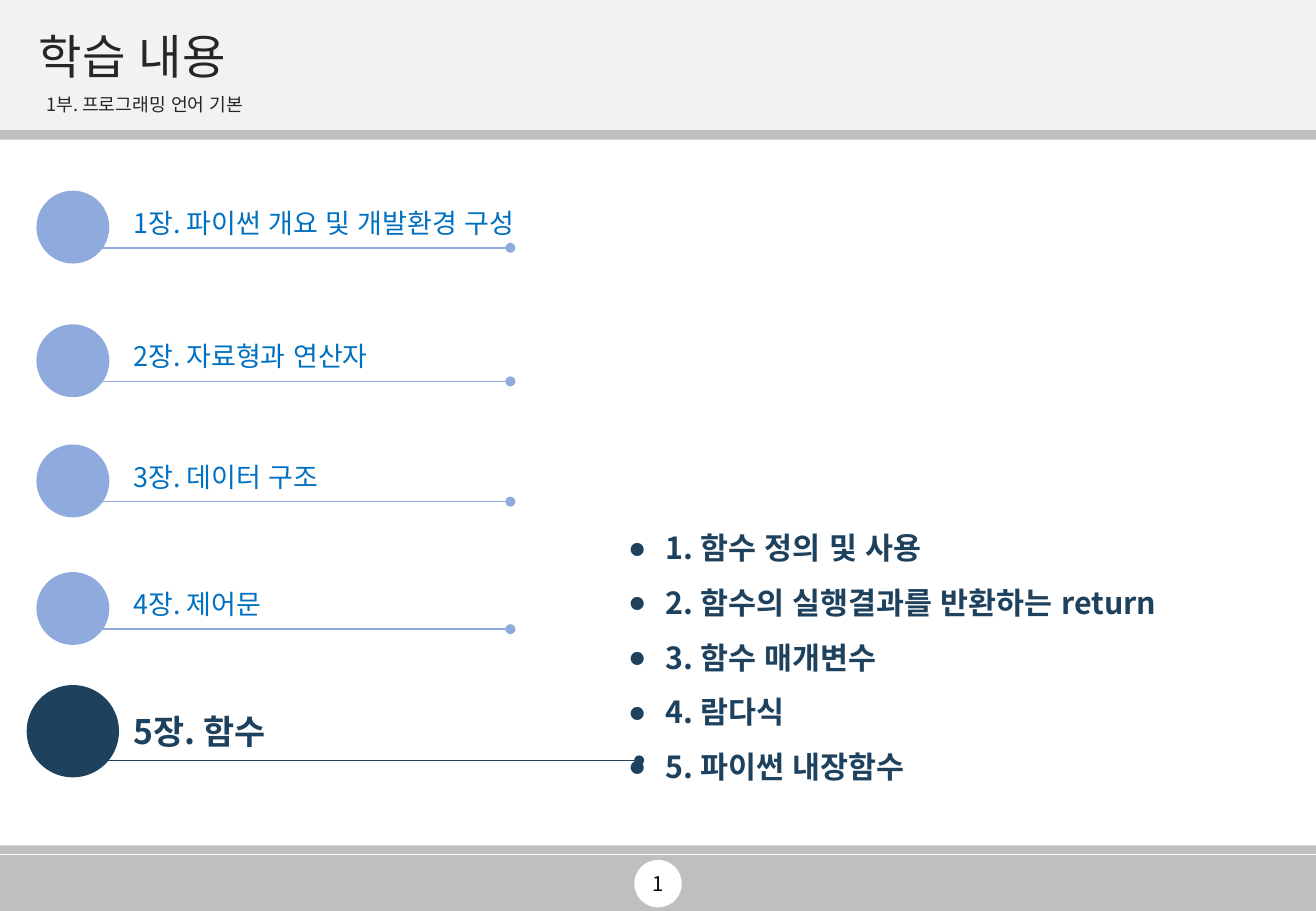
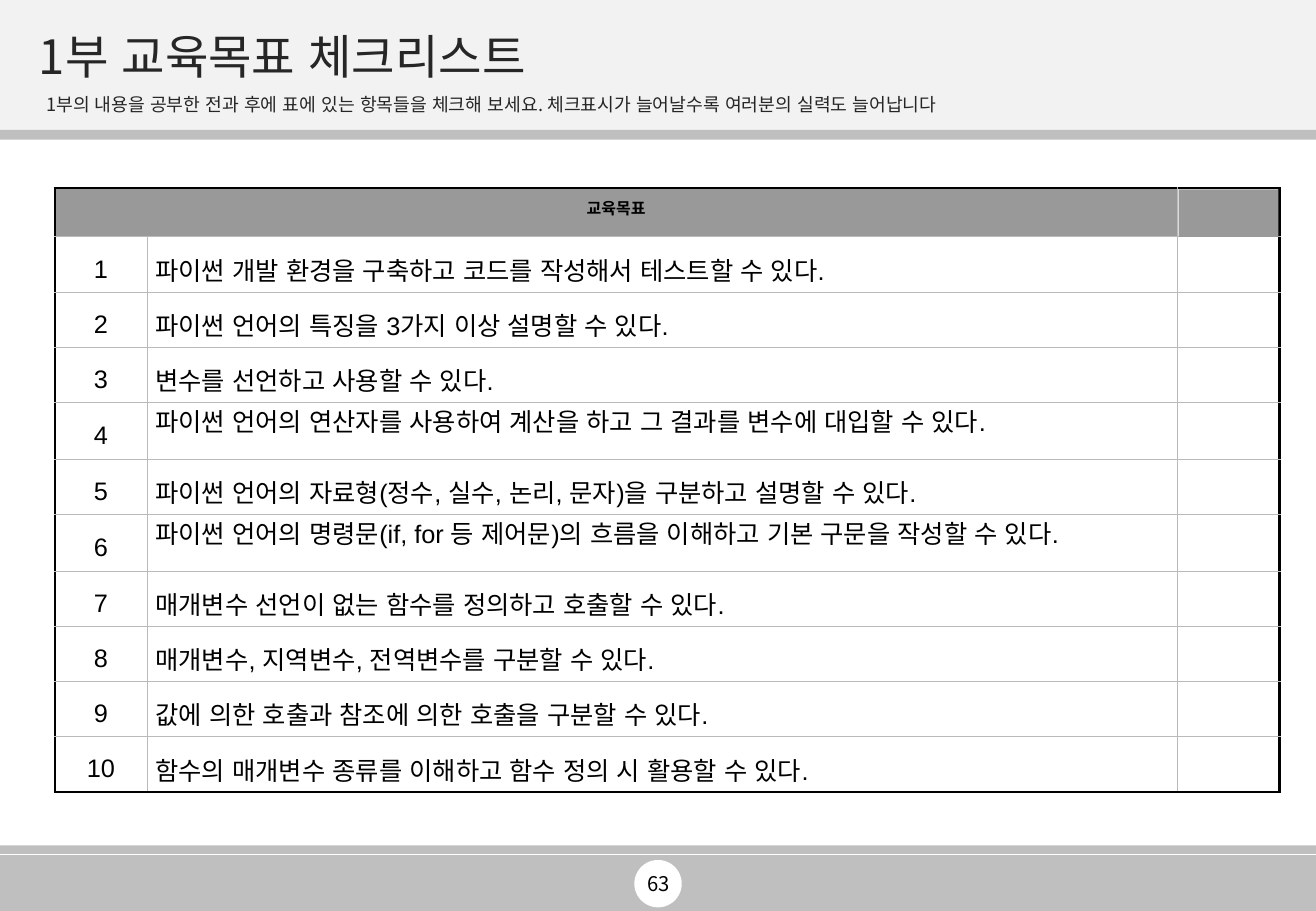
from lxml.etree import SubElement
from pptx import Presentation
from pptx.dml.color import RGBColor
from pptx.enum.shapes import MSO_CONNECTOR, MSO_SHAPE
from pptx.enum.text import MSO_ANCHOR as ANCHOR, MSO_AUTO_SIZE, PP_ALIGN as ALIGN
from pptx.oxml.ns import qn
from pptx.util import Inches, Pt

KOREAN = "Noto Sans CJK KR"
GRAY, PALE, WHITE, BLACK = "BFBFBF", "F2F2F2", "FFFFFF", "000000"
INK, NAVY, SKY, BLUE = "262626", "1E415D", "8FAADC", "0070C0"
HEADER, GRID = "999999", "BABABA"
rgb = RGBColor.from_string


def add_block(slide, kind, box, color):
    """Add a flat preset shape without outline or shadow."""
    sp = slide.shapes.add_shape(kind, *map(Inches, box))
    sp.shadow.inherit = False
    sp.fill.solid()
    sp.fill.fore_color.rgb = rgb(color)
    sp.line.fill.background()
    return sp


def style(tf, size, color, bold=False, latin=KOREAN):
    """Wrap the frame and format all its runs, Korean glyphs included."""
    tf.word_wrap = True
    for p in tf.paragraphs:
        for r in p.runs:
            r.font.size, r.font.bold, r.font.name = Pt(size), bold, latin
            r.font.color.rgb = rgb(color)
            rPr = r._r.get_or_add_rPr()
            rPr.set("lang", "ko-KR")
            rPr.set("kern", "0")
            SubElement(rPr, qn("a:ea")).set("typeface", KOREAN)


prs = Presentation()
prs.slide_width, prs.slide_height = Inches(10.83), Inches(7.5)
layout = prs.slide_layouts[1]

# Shared layout: placeholder positions, bands and page number disc
PLACES = [(0.22, 0.21, 10.39, 0.55), (0.3, 0.76, 10.32, 0.24)]
for ph, place in zip(layout.placeholders, PLACES):
    ph.left, ph.top, ph.width, ph.height = map(Inches, place)

PAGES = [
    ("학습 내용", "1부. 프로그래밍 언어 기본", "1"),
    ("1부 교육목표 체크리스트",
     "1부의 내용을 공부한 전과 후에 표에 있는 항목들을 체크해 보세요. "
     "체크표시가 늘어날수록 여러분의 실력도 늘어납니다", "63"),
]
slides = [prs.slides.add_slide(layout) for page in PAGES]

BANDS = [
    (MSO_SHAPE.RECTANGLE, (0, 7.04, 10.83, 0.46), GRAY),
    (MSO_SHAPE.RECTANGLE, (0, 6.96, 10.83, 0.07), GRAY),
    (MSO_SHAPE.OVAL, (5.22, 7.08, 0.39, 0.39), WHITE),
    (MSO_SHAPE.RECTANGLE, (0, 0, 10.83, 1.07), PALE),
    (MSO_SHAPE.RECTANGLE, (0, 1.07, 10.83, 0.08), GRAY),
]
for i, band in enumerate(BANDS):
    el = add_block(slides[0], *band)._element
    el.nvSpPr.cNvPr.set("id", str(20 + i))
    layout.shapes._spTree.insert(2 + i, el)

# Title, subtitle and page number
for s, (title, subtitle, number) in zip(slides, PAGES):
    tf = s.shapes.title.text_frame
    tf.text = title
    tf.paragraphs[0].line_spacing = 0.9

    body = s.placeholders[1].text_frame
    body.text = subtitle
    body.margin_left = Inches(0.08)
    p = body.paragraphs[0]
    pPr = p._p.get_or_add_pPr()
    pPr.set("marL", "0")
    pPr.set("indent", "0")
    SubElement(pPr, qn("a:buNone"))
    p.line_spacing, p.space_before = 0.7, Pt(0)

    for frame, size in ((tf, 28), (body, 10.8)):
        frame.auto_size = MSO_AUTO_SIZE.NONE
        frame.vertical_anchor = ANCHOR.MIDDLE
        frame.paragraphs[0].alignment = ALIGN.LEFT
        style(frame, size, INK)

    page = s.shapes.add_textbox(*map(Inches, (4.2, 7.08, 2.44, 0.39))).text_frame
    page.text = number
    page.vertical_anchor = ANCHOR.MIDDLE
    page.paragraphs[0].alignment = ALIGN.CENTER
    style(page, 12, BLACK)

# Slide 1: chapters, the current one larger and darker
contents, checklist = slides
CHAPTERS = [
    ("1장. 파이썬 개요 및 개발환경 구성", 1.57),
    ("2장. 자료형과 연산자", 2.67),
    ("3장. 데이터 구조", 3.66),
    ("4장. 제어문", 4.71),
    ("5장. 함수", 5.64),
]
for name, top in CHAPTERS:
    current = name == CHAPTERS[-1][0]
    if current:
        d, color, ink, size, text_dy, line_dy, end = 0.76, NAVY, NAVY, 20, 0.16, 0.62, 5.26
    else:
        d, color, ink, size, text_dy, line_dy, end = 0.6, SKY, BLUE, 16, 0.08, 0.47, 4.2
    add_block(contents, MSO_SHAPE.OVAL, (0.6 - d / 2, top, d, d), color)

    y = top + line_dy
    rule = contents.shapes.add_connector(
        MSO_CONNECTOR.STRAIGHT, *map(Inches, (0.79, y, end, y)))
    rule.line.color.rgb = rgb(color)
    rule.line.width = Pt(1)
    SubElement(rule.line._get_or_add_ln(), qn("a:tailEnd")).set("type", "oval")
    SubElement(rule._element.spPr, qn("a:effectLst"))

    tf = contents.shapes.add_textbox(
        *map(Inches, (1, top + text_dy, 4.62, 0.4))).text_frame
    tf.text = name
    style(tf, size, ink, current)

SECTIONS = [
    "1. 함수 정의 및 사용",
    "2. 함수의 실행결과를 반환하는 return",
    "3. 함수 매개변수",
    "4. 람다식",
    "5. 파이썬 내장함수",
]
tf = contents.shapes.add_textbox(*map(Inches, (5.07, 4.16, 5.38, 2.37))).text_frame
tf.text = "\n".join(SECTIONS)
for p in tf.paragraphs:
    pPr = p._p.get_or_add_pPr()
    pPr.set("marL", str(Inches(0.31)))
    pPr.set("indent", str(-Inches(0.31)))
    SubElement(pPr, qn("a:buFont")).set("typeface", "Arial")
    SubElement(pPr, qn("a:buChar")).set("char", "●")
    p.line_spacing = 1.5
style(tf, 18, NAVY, True)

# Slide 2: checklist table
GOALS = [
    "파이썬 개발 환경을 구축하고 코드를 작성해서 테스트할 수 있다.",
    "파이썬 언어의 특징을 3가지 이상 설명할 수 있다.",
    "변수를 선언하고 사용할 수 있다.",
    "파이썬 언어의 연산자를 사용하여 계산을 하고 그 결과를 변수에 대입할 수 있다.",
    "파이썬 언어의 자료형(정수, 실수, 논리, 문자)을 구분하고 설명할 수 있다.",
    "파이썬 언어의 명령문(if, for 등 제어문)의 흐름을 이해하고 기본 구문을 작성할 수 있다.",
    "매개변수 선언이 없는 함수를 정의하고 호출할 수 있다.",
    "매개변수, 지역변수, 전역변수를 구분할 수 있다.",
    "값에 의한 호출과 참조에 의한 호출을 구분할 수 있다.",
    "함수의 매개변수 종류를 이해하고 함수 정의 시 활용할 수 있다.",
]
TALL_ROWS = (4, 6)
TABLE_H, HEAD_H, TALL_H = 4.97, 0.4, 0.47
ROW_H = (TABLE_H - HEAD_H - TALL_H * len(TALL_ROWS)) / (len(GOALS) - len(TALL_ROWS))
rows = [("교육목표", "", "")] + [(str(n), goal, "") for n, goal in enumerate(GOALS, 1)]
table = checklist.shapes.add_table(
    len(rows), 3, *map(Inches, (0.45, 1.55, 10.08, TABLE_H))).table
table.first_row = table.horz_banding = False
for column, width in zip(table.columns, (0.76, 8.48, 0.84)):
    column.width = Inches(width)
table.cell(0, 0).merge(table.cell(0, 1))

for i, row in enumerate(rows):
    table.rows[i].height = Inches(HEAD_H if i == 0 else TALL_H if i in TALL_ROWS else ROW_H)
    for j, text in enumerate(row):
        cell = table.cell(i, j)
        tcPr = cell._tc.get_or_add_tcPr()
        outer = {"L": j == 0, "R": j == 2, "T": i == 0, "B": i == len(GOALS)}
        for side, is_outer in outer.items():
            ln = SubElement(tcPr, qn("a:ln" + side))
            ln.set("w", str(Pt(1.5 if is_outer else 0.5)))
            fill = SubElement(ln, qn("a:solidFill"))
            SubElement(fill, qn("a:srgbClr")).set("val", BLACK if is_outer else GRID)
        cell.fill.background()
        cell.margin_left = cell.margin_right = cell.margin_top = cell.margin_bottom = 0
        if not text:
            continue
        cell.text = text
        if j == 0:
            cell.text_frame.paragraphs[0].alignment = ALIGN.CENTER
        else:
            cell.margin_left = Inches(0.07)
        if i == 0:
            cell.margin_top = Inches(0.06)
            cell.fill.solid()
            cell.fill.fore_color.rgb = rgb(HEADER)
        elif j == 0 or i not in TALL_ROWS:
            cell.margin_top = Inches(0.08)
            cell.vertical_anchor = ANCHOR.MIDDLE
        style(cell.text_frame, 15 if i else 9.5, BLACK, i == 0, "Arial")

add_block(checklist, MSO_SHAPE.RECTANGLE, (9.7, 1.56, 0.82, 0.39), HEADER)

prs.save("out.pptx")
